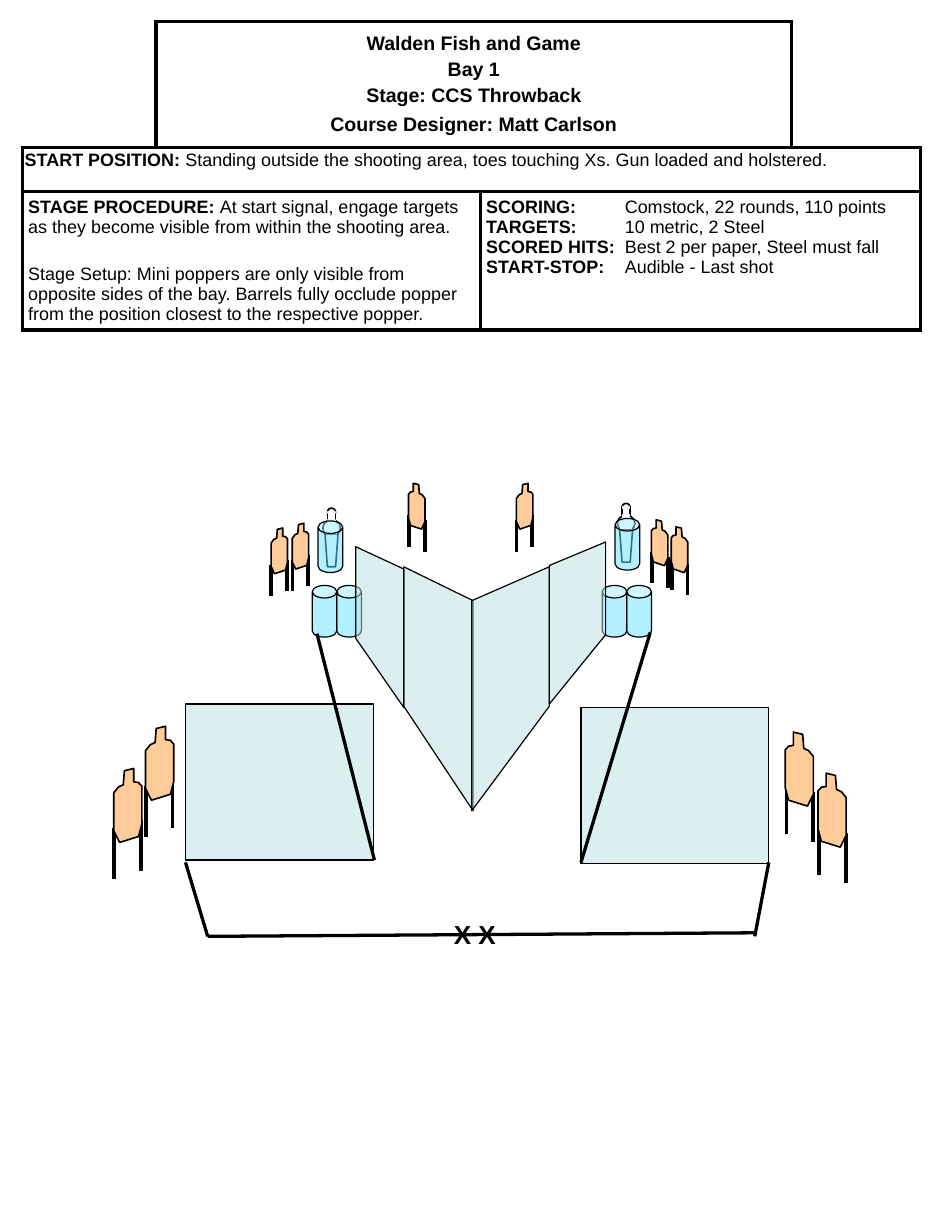
import pptx
import pptx.dml.color
import pptx.enum.shapes
import pptx.enum.text
import pptx.oxml
import pptx.oxml.ns
import pptx.util

Pt = pptx.util.Pt
SHAPE = pptx.enum.shapes.MSO_SHAPE
ALIGN = pptx.enum.text.PP_ALIGN
ANCHOR = pptx.enum.text.MSO_ANCHOR
qn = pptx.oxml.ns.qn

COLORS = {"ink": "000000", "paper": "FFFFFF", "wall": "BBE0E3",
          "barrel": "69E2FF", "target": "FFCC99"}
NS = 'xmlns:a="http://schemas.openxmlformats.org/drawingml/2006/main"'
TARGET_OUTLINE = [(0.38, 0.03), (0.71, 0), (0.71, 0.18), (0.88, 0.19), (1, 0.24),
                  (1, 0.75), (0.88, 0.92), (0.21, 1), (0, 0.84), (0, 0.33),
                  (0.17, 0.25), (0.34, 0.22)]
TARGET_LEGS = [(0.01, 0.81, 1.49), (0.96, 0.7, 1.38)]
SMALL, LARGE = (10.1, 28.1), (17.3, 45.4)


def rgb(name):
    return pptx.dml.color.RGBColor.from_string(COLORS[name])


def apply(item, values):
    for name, value in values.items():
        setattr(item, name, value)


def paint(shape, fill, line="ink", width=1, alpha=None):
    shape.shadow.inherit = False
    shape.fill.solid()
    shape.fill.fore_color.rgb = rgb(fill)
    if alpha:
        color = shape.element.spPr.find(qn("a:solidFill"))[0]
        color.append(pptx.oxml.parse_xml(f'<a:alpha {NS} val="{alpha * 1000}"/>'))
    if line:
        shape.line.color.rgb = rgb(line)
        shape.line.width = Pt(width)
    else:
        shape.line.fill.background()
    return shape


def add_preset(shapes, preset, box, **look):
    return paint(shapes.add_shape(preset, *map(Pt, box)), **look)


def add_outline(shapes, points, **look):
    start, *rest = [(Pt(x), Pt(y)) for x, y in points]
    builder = shapes.build_freeform(*start)
    builder.add_line_segments(rest, close=True)
    return paint(builder.convert_to_shape(), **look)


def add_line(shapes, start, end, width):
    line = shapes.add_connector(pptx.enum.shapes.MSO_CONNECTOR.STRAIGHT,
                                *map(Pt, (*start, *end)))
    line.line.color.rgb = rgb("ink")
    line.line.width = Pt(width)
    line.element.spPr.append(pptx.oxml.parse_xml(f"<a:effectLst {NS}/>"))


def add_runs(paragraph, runs, size):
    for text, bold in runs:
        run = paragraph.add_run()
        run.text = text
        apply(run.font, {"name": "Arial", "size": Pt(size), "bold": bold})
        run.font.color.rgb = rgb("ink")


def fill_text(frame, paragraphs, size, tab=None):
    for i, (runs, values) in enumerate(paragraphs):
        paragraph = frame.add_paragraph() if i else frame.paragraphs[0]
        apply(paragraph, values)
        if tab:
            paragraph._p.get_or_add_pPr().append(pptx.oxml.parse_xml(
                f'<a:tabLst {NS}><a:tab pos="{Pt(tab)}" algn="l"/></a:tabLst>'))
        add_runs(paragraph, runs, size)


def format_cell(cell, edges, margins):
    properties = cell._tc.get_or_add_tcPr()
    for edge in "LRTB":
        color = f'<a:srgbClr val="{COLORS["ink"]}"/>'
        fill = f"<a:solidFill>{color}</a:solidFill>" if edge in edges else "<a:noFill/>"
        properties.append(pptx.oxml.parse_xml(
            f'<a:ln{edge} {NS} w="{Pt(2.25)}">{fill}</a:ln{edge}>'))
    cell.fill.solid()
    cell.fill.fore_color.rgb = rgb("paper")
    x, y = map(Pt, margins)
    apply(cell, {"margin_left": x, "margin_right": x, "margin_top": y, "margin_bottom": y})


def add_briefing(shapes, left, top):
    widths, heights = [82, 199, 191, 79], [77.5, 27, 85]
    table = shapes.add_table(3, 4, *map(Pt, (left, top, sum(widths), sum(heights)))).table
    apply(table, {"first_row": False, "horz_banding": False})
    for column, width in zip(table.columns, widths):
        column.width = Pt(width)
    for row, height in zip(table.rows, heights):
        row.height = Pt(height)
    for r in range(3):
        for c in range(4):
            edges = {(0, 0): "RB", (0, 3): "LB"}.get((r, c), "LRTB")
            format_cell(table.cell(r, c), edges, (1.5, 3) if r == 1 else (3.6, 3.6))
    for first, last in [((0, 1), (0, 2)), ((1, 0), (1, 3)), ((2, 0), (2, 1)), ((2, 2), (2, 3))]:
        table.cell(*first).merge(table.cell(*last))

    heading = table.cell(0, 1)
    heading.vertical_anchor = ANCHOR.MIDDLE
    lines = [("Walden Fish and Game", 0), ("Bay 1", 2.4), ("Stage: CCS Throwback", 2.4),
             ("Course Designer: Matt Carlson", 4.2)]
    fill_text(heading.text_frame,
              [([(text, True)], {"alignment": ALIGN.CENTER, "space_before": Pt(gap)})
               for text, gap in lines], 12)
    fill_text(table.cell(1, 0).text_frame, [
        ([("START POSITION:", True),
          (" Standing outside the shooting area, toes touching Xs. Gun loaded and holstered.",
           False)], {"line_spacing": 0.9})], 11)
    fill_text(table.cell(2, 0).text_frame, [
        ([("STAGE PROCEDURE: ", True),
          ("At start signal, engage targets as they become visible from within the "
           "shooting area.", False)], {}),
        ([("Stage Setup: Mini poppers are only visible from opposite sides of the bay. "
           "Barrels fully occlude popper from the position closest to the respective popper.",
           False)], {"space_before": Pt(16.4)})], 11)
    scoring = [("SCORING:", "Comstock, 22 rounds, 110 points"),
               ("TARGETS:", "10 metric, 2 Steel"),
               ("SCORED HITS:", "Best 2 per paper, Steel must fall"),
               ("START-STOP:", "Audible - Last shot")]
    fill_text(table.cell(2, 2).text_frame,
              [([(label, True), ("\t" + value, False)], {}) for label, value in scoring],
              11, tab=85)


def add_popper(shapes, left, top):
    parts = shapes.add_group_shape().shapes

    def place(preset, x, y, width, height, line="ink"):
        add_preset(parts, preset, (left + x, top + y, width, height), fill="paper", line=line)

    place(SHAPE.OVAL, 2.9, 0, 5, 5)
    place(SHAPE.OVAL, 0, 7.2, 10.8, 10.1)
    base = [(1.4, 15.8), (9.4, 15.8), (7.9, 36), (2.9, 36)]
    add_outline(parts, [(left + x, top + y) for x, y in base], fill="paper")
    place(SHAPE.RECTANGLE, 2.9, 2.2, 5, 5)
    place(SHAPE.RECTANGLE, 1.8, 15.1, 7.2, 0.7, None)
    for y in (7.2, 2.2):
        place(SHAPE.RECTANGLE, 3.2, y, 4.3, 0.7, "paper")


def add_target(shapes, left, top, size, mirrored):
    width, height = size
    parts = shapes.add_group_shape().shapes

    def at(x, y):
        return left + width * (1 - x if mirrored else x), top + height * y

    for x, start, end in TARGET_LEGS:
        add_line(parts, at(x, start), at(x, end), 2.25)
    add_outline(parts, [at(x, y) for x, y in TARGET_OUTLINE], fill="target")


def add_barrel(shapes, left, top):
    barrel = add_preset(shapes, SHAPE.CAN, (left, top, 15.1, 31.7),
                        fill="barrel", width=0.75, alpha=50)
    barrel.adjustments[0] = 0.509


def add_wall(shapes, left, top, near, far):
    (x1, top1, bottom1), (x2, top2, bottom2) = near, far
    corners = [(x2, bottom2), (x1, bottom1), (x1, top1), (x2, top2)]
    add_outline(shapes, [(left + x, top + y) for x, y in corners],
                fill="wall", width=0.75, alpha=50)


def add_bay(shapes, left, top):
    for near, far in [((220.2, 72.6, 201.5), (177.7, 51.8, 137.4)),
                      ((219.4, 72.6, 201.5), (267, 51.8, 137.4))]:
        add_wall(shapes, left, top, near, far)
    for x, y in [(43.8, 136), (286.4, 138.2)]:
        add_preset(shapes, SHAPE.RECTANGLE, (left + x, top + y, 115.2, 95.8),
                   fill="wall", width=0.75, alpha=50)
    for x in (121.5, 136.6, 299.4, 314.5):
        add_barrel(shapes, left + x, top + 63.3)
    for near, far in [((177.7, 53.2, 138.2), (148.2, 39.5, 95.7)),
                      ((267, 51, 136), (301.5, 36.6, 93.5))]:
        add_wall(shapes, left, top, near, far)
    for x, y in [(125.1, 23.7), (307.3, 22.2)]:
        add_barrel(shapes, left + x, top + y)
    for x, y, size, mirrored in [
            (96.3, 28, SMALL, False), (109.3, 25.1, SMALL, False),
            (19.3, 149.7, LARGE, False), (-0.2, 175.6, LARGE, False),
            (411.7, 153.3, LARGE, True), (431.8, 178.5, LARGE, True),
            (329.6, 23, SMALL, True), (341.8, 27.3, SMALL, True),
            (180.6, 0.6, SMALL, True), (246.8, 0.6, SMALL, False)]:
        add_target(shapes, left + x, top + y, size, mirrored)
    for x1, y1, x2, y2 in [(57.4, 278.6, 43.8, 233.2), (393, 278.6, 401.6, 233.2),
                           (57.4, 278.6, 393, 276.4), (159.7, 231.8, 124.4, 92.8),
                           (286.4, 233.2, 328.9, 92.1)]:
        add_line(shapes, (left + x1, top + y1), (left + x2, top + y2), 2)
    marks = shapes.add_textbox(*map(Pt, (left + 201.4, top + 264.2, 41.8, 26.6))).text_frame
    marks.word_wrap = True
    fill_text(marks, [([("X X", True)], {})], 16)


def main():
    deck = pptx.Presentation()
    apply(deck, {"slide_width": Pt(576), "slide_height": Pt(756)})
    shapes = deck.slides.add_slide(deck.slide_layouts[6]).shapes
    for x, y in [(198, 311.8), (378.7, 308.9)]:
        add_popper(shapes, x, y)
    add_briefing(shapes, 13.7, 13)
    add_bay(shapes, 70, 296)
    deck.save("out.pptx")


if __name__ == "__main__":
    main()
